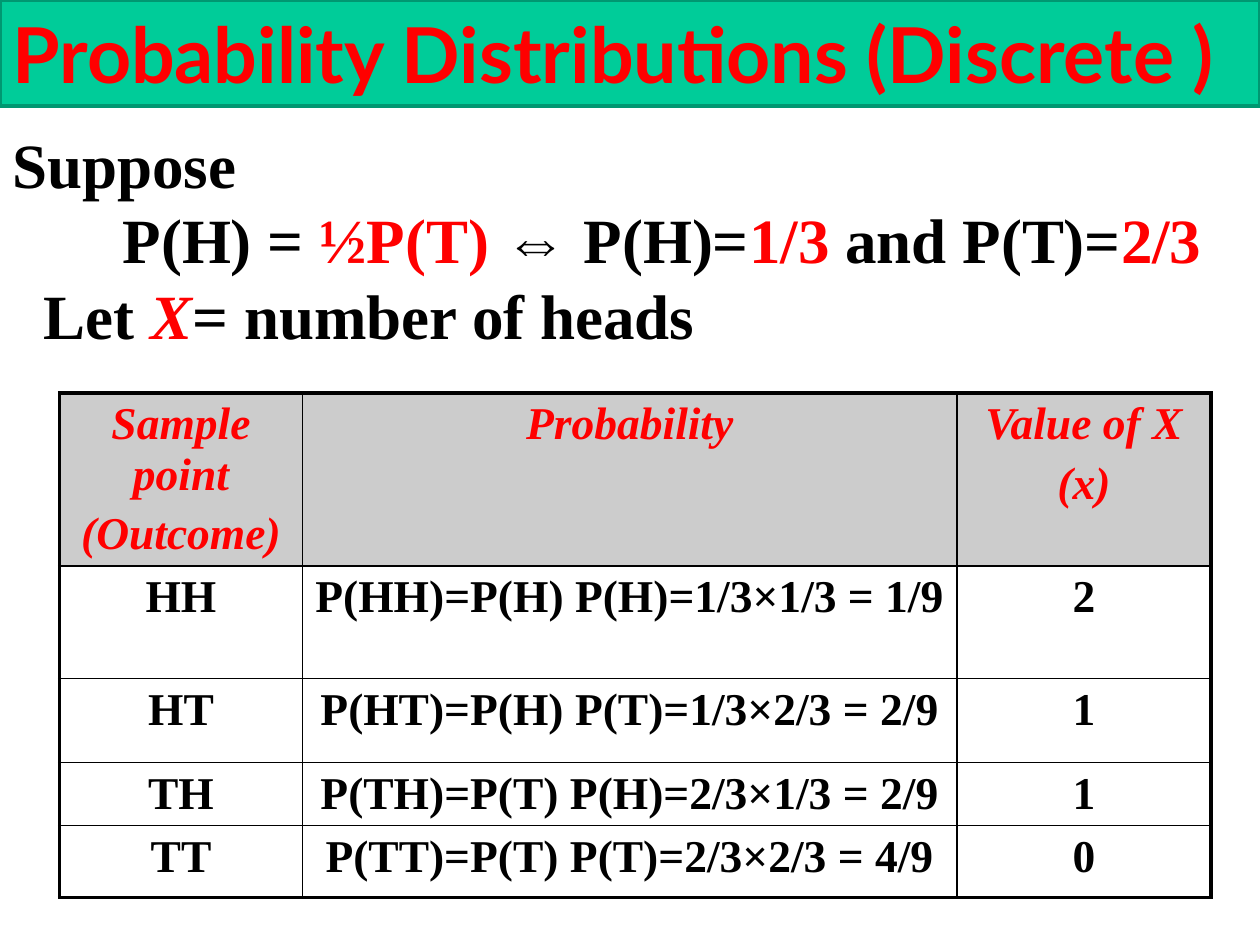
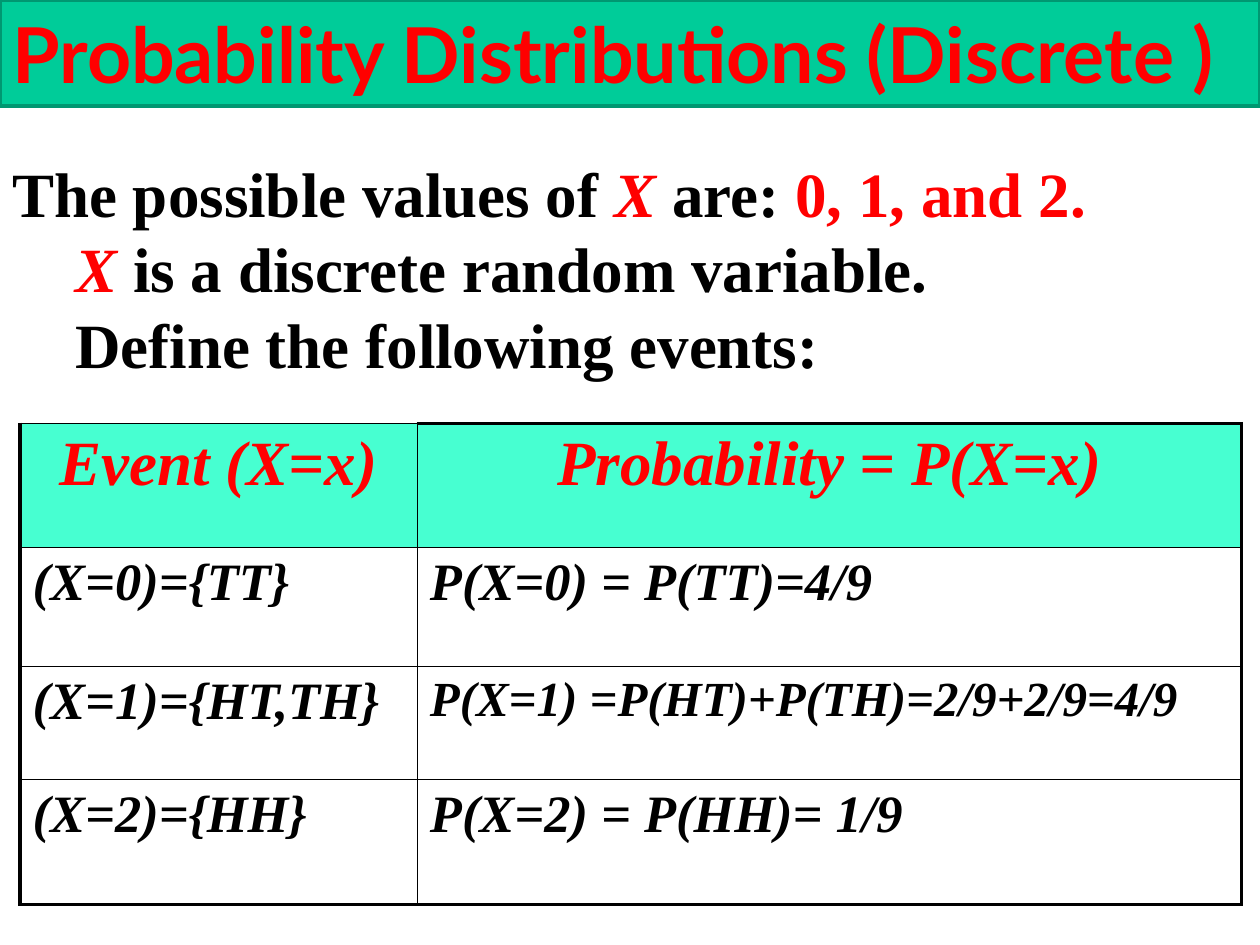
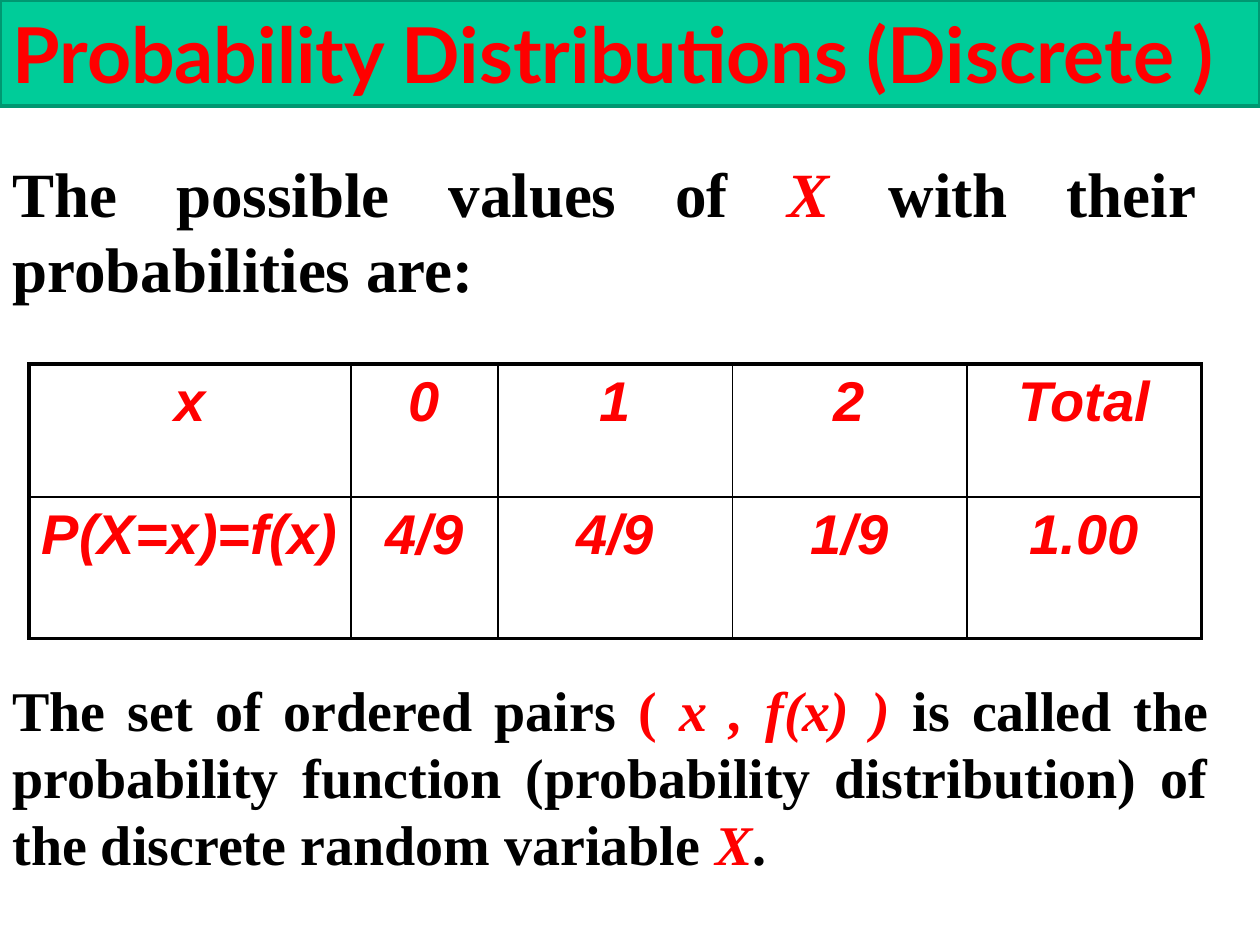
"""Build three slides on discrete probability distributions."""
from lxml import etree
from pptx import Presentation
from pptx.dml.color import RGBColor
from pptx.enum.shapes import MSO_SHAPE
from pptx.enum.text import MSO_ANCHOR, PP_ALIGN
from pptx.oxml.ns import qn
from pptx.util import Pt

RECT = MSO_SHAPE.RECTANGLE
MIDDLE = MSO_ANCHOR.MIDDLE
CENTER, LEFT, JUSTIFY = PP_ALIGN.CENTER, PP_ALIGN.LEFT, PP_ALIGN.JUSTIFY
SERIF, SANS, TITLE_FONT = "Times New Roman", "Arial", "Lato"
RED, BLACK, WHITE = "FF0000", "000000", "FFFFFF"
BAND, BAND_LINE, GRAY, MINT = "00CC99", "009771", "CCCCCC", "47FFD1"
THICK, THIN = 2.25, 1
rgb = RGBColor.from_string


def add_text(s, left, top, width, height, size, paragraphs):
    """Add a justified serif box; each paragraph is (indent, runs)."""
    tf = s.shapes.add_textbox(Pt(left), Pt(top), Pt(width), Pt(height)).text_frame
    tf.word_wrap = True
    for i, (indent, runs) in enumerate(paragraphs):
        p = tf.paragraphs[0] if i == 0 else tf.add_paragraph()
        p.alignment = JUSTIFY
        p._p.get_or_add_pPr().set("marL", str(Pt(indent)))
        p.font.size, p.font.name, p.font.bold = Pt(size), SERIF, True
        for text, color, italic in runs:
            r = p.add_run()
            r.text = text
            r.font.color.rgb = rgb(color)
            r.font.italic = italic


def add_grid(s, left, top, cols, rows, cells, font, head, body):
    """Add a ruled table; head and body are (size, color, fill, italic, align)."""
    table = s.shapes.add_table(len(rows), len(cols), Pt(left), Pt(top),
                               Pt(sum(cols)), Pt(sum(rows))).table
    table.first_row = table.horz_banding = False
    for col, width in zip(table.columns, cols):
        col.width = Pt(width)
    for row, height in zip(table.rows, rows):
        row.height = Pt(height)
    for i, texts in enumerate(cells):
        size, color, fill, italic, align = body if i else head
        for j, text in enumerate(texts):
            cell = table.cell(i, j)
            edges = {"L": j == 0, "R": j == len(cols) - 1,
                     "T": i == 0, "B": i == len(rows) - 1}
            for side, outer in edges.items():
                ln = etree.SubElement(cell._tc.get_or_add_tcPr(), qn(f"a:ln{side}"),
                                      w=str(Pt(THICK if outer else THIN)))
                line_fill = etree.SubElement(ln, qn("a:solidFill"))
                etree.SubElement(line_fill, qn("a:srgbClr"), val=BLACK)
            cell.fill.solid()
            cell.fill.fore_color.rgb = rgb(fill)
            cell.text = text
            for k, p in enumerate(cell.text_frame.paragraphs):
                p.alignment = align
                if k:
                    p.space_before = Pt(size * 0.2)
                p.font.size, p.font.name = Pt(size), font
                p.font.bold, p.font.italic = True, italic
                p.font.color.rgb = rgb(color)
    return table


prs = Presentation()
prs.slide_width, prs.slide_height = Pt(720), Pt(540)
blank = prs.slide_layouts[6]

s = prs.slides.add_slide(blank)
outcomes = [
    ["Sample point\n(Outcome)", "Probability", "Value of X\n(x)"],
    ["HH", "P(HH)=P(H) P(H)=1/3×1/3 = 1/9", "2"],
    ["HT", "P(HT)=P(H) P(T)=1/3×2/3 = 2/9", "1"],
    ["TH", "P(TH)=P(T) P(H)=2/3×1/3 = 2/9", "1"],
    ["TT", "P(TT)=P(T) P(T)=2/3×2/3 = 4/9", "0"],
]
add_grid(s, 34, 224.5, [139, 374, 145], [98.5, 64.5, 48, 36, 41], outcomes, SERIF,
         (26, RED, GRAY, True, CENTER), (26, BLACK, WHITE, False, CENTER))
add_text(s, 0, 68, 720, 138, 36, [
    (0, [("Suppose", BLACK, False)]),
    (63, [("P(H) = ", BLACK, False), ("½P(T) ", RED, False),
          ("⇔ P(H)=", BLACK, False), ("1/3", RED, False),
          (" and P(T)=", BLACK, False), ("2/3", RED, False)]),
    (18, [("Let ", BLACK, False), ("X", RED, True),
          ("= number of heads", BLACK, False)]),
])

s = prs.slides.add_slide(blank)
add_text(s, 0, 84.5, 698, 138, 36, [
    (0, [("The possible values of ", BLACK, False), ("X", RED, True),
         (" are: ", BLACK, False), ("0, 1, and 2.", RED, False)]),
    (36, [("X ", RED, True), ("is a discrete random variable.", BLACK, False)]),
    (36, [("Define the following events:", BLACK, False)]),
])
events = [
    ["Event (X=x)", "Probability = P(X=x)"],
    ["(X=0)={TT}", "P(X=0) = P(TT)=4/9"],
    ["(X=1)={HT,TH}", "P(X=1) =P(HT)+P(TH)=2/9+2/9=4/9"],
    ["(X=2)={HH}", "P(X=2) = P(HH)= 1/9"],
]
table = add_grid(s, 11.5, 242, [227, 471], [71, 68, 64.5, 71.5], events, SERIF,
                 (36, RED, MINT, True, CENTER), (30, BLACK, WHITE, True, LEFT))
table.cell(2, 1).text_frame.paragraphs[0].font.size = Pt(28)
table.cell(0, 0)._tc.tcPr.find(qn("a:lnT")).set("w", str(Pt(THIN)))

s = prs.slides.add_slide(blank)
add_text(s, 0, 84.5, 690, 94, 36, [
    (0, [("The possible values of ", BLACK, False), ("X", RED, True),
         (" with their probabilities are:", BLACK, False)]),
])
distribution = [
    ["x", "0", "1", "2", "Total"],
    ["P(X=x)=f(x)", "4/9", "4/9", "1/9", "1.00"],
]
style = (32, RED, WHITE, True, CENTER)
add_grid(s, 16.5, 208, [184, 84, 134, 134, 134], [76, 81], distribution, SANS,
         style, style)
add_text(s, 0, 382.5, 698, 124, 32, [
    (0, [("The set of ordered pairs ", BLACK, False), ("( ", RED, False),
         ("x , f(x) ) ", RED, True),
         ("is called the probability function (probability distribution) of "
          "the discrete random variable ", BLACK, False),
         ("X", RED, True), (".", BLACK, False)]),
])

for s in prs.slides:
    sp = s.shapes.add_shape(RECT, Pt(0), Pt(0), Pt(720), Pt(60.5))
    sp.shadow.inherit = False
    sp.fill.solid()
    sp.fill.fore_color.rgb = rgb(BAND)
    sp.line.color.rgb = rgb(BAND_LINE)
    sp.line.width = Pt(2)
    tf = sp.text_frame
    tf.word_wrap = True
    tf.vertical_anchor = MIDDLE
    p = tf.paragraphs[0]
    p.text = "Probability Distributions (Discrete )"
    p.alignment = JUSTIFY
    p.font.size, p.font.name, p.font.bold = Pt(44), TITLE_FONT, True
    p.font.color.rgb = rgb(RED)

prs.save("out.pptx")
